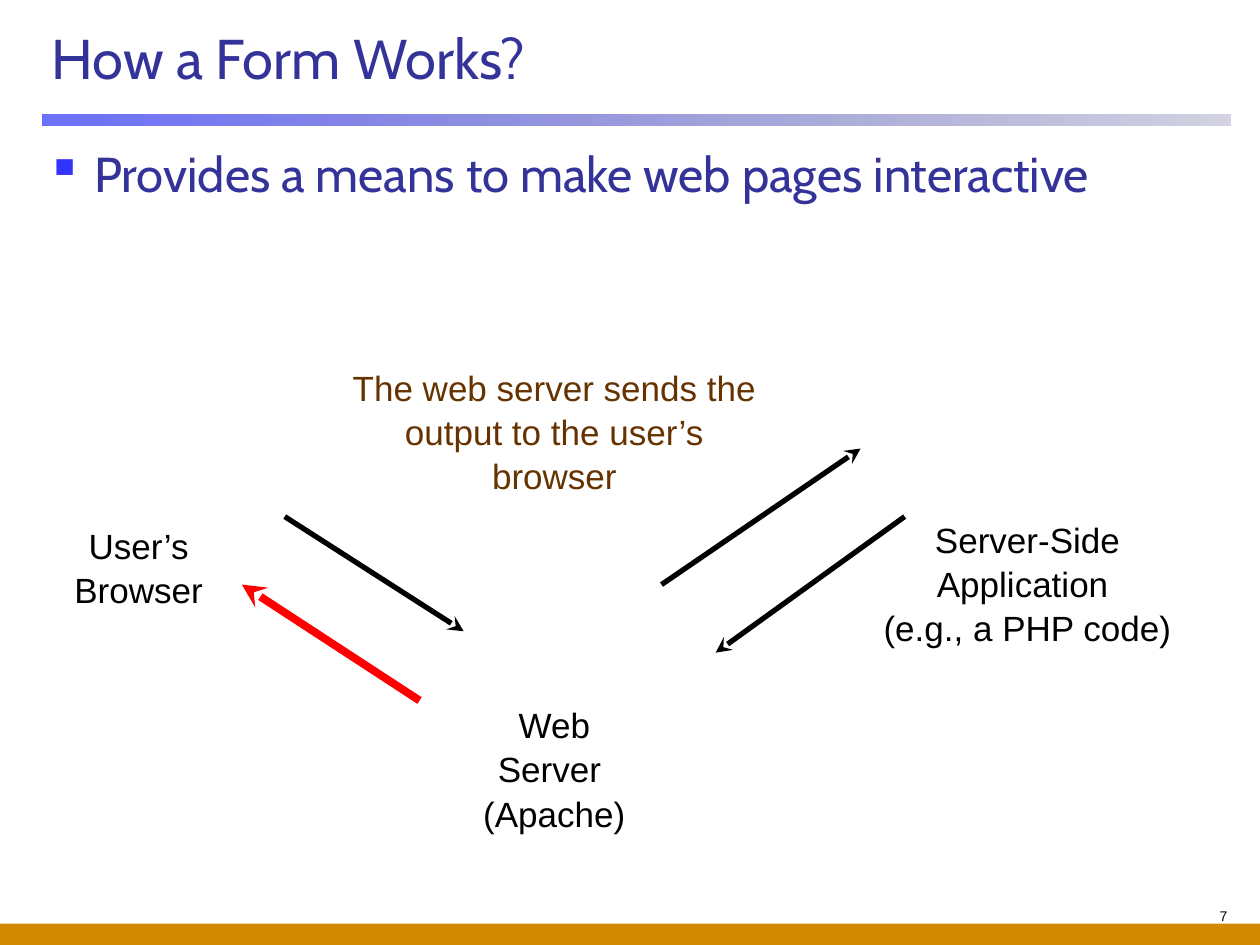
from dataclasses import dataclass

from lxml import etree
from pptx import Presentation
from pptx import util as u
from pptx.dml.color import RGBColor
from pptx.enum import shapes, text
from pptx.oxml.ns import qn

COLUMNS, ROWS = 100, 75


@dataclass(frozen=True)
class Theme:
    heading_font: str = "Cabin"
    label_font: str = "Arial"
    title_size: float = 32
    body_size: float = 28
    label_size: float = 20
    number_size: float = 8
    heading: str = "333399"
    bullet: str = "3333FF"
    ink: str = "000000"
    note: str = "663300"
    highlight: str = "FF0000"
    footer: str = "D18A00"
    rule_stops: tuple = (("464AFC", 79), ("202275", 20))


@dataclass(frozen=True)
class Area:
    column: float
    row: float
    columns: float
    rows: float


@dataclass(frozen=True)
class Label:
    content: str
    area: Area
    color: str


@dataclass(frozen=True)
class Arrow:
    start: tuple[float, float]
    end: tuple[float, float]
    color: str
    width: float


THEME = Theme()
presentation = Presentation()
presentation.slide_width = u.Inches(10)
presentation.slide_height = u.Inches(7.5)
slide = presentation.slides.add_slide(presentation.slide_layouts[6])


def x(column: float) -> int:
    return round(presentation.slide_width * column / COLUMNS)


def y(row: float) -> int:
    return round(presentation.slide_height * row / ROWS)


def bounds(area: Area) -> tuple[int, int, int, int]:
    return x(area.column), y(area.row), x(area.columns), y(area.rows)


def add_text(content: str, area: Area, *, size: float = THEME.label_size,
             font: str = THEME.label_font, color: str = THEME.ink,
             align=text.PP_ALIGN.LEFT, anchor=text.MSO_ANCHOR.TOP,
             spacing: float = 1.0, bullet: str = "") -> None:
    frame = slide.shapes.add_textbox(*bounds(area)).text_frame
    frame.word_wrap = True
    frame.vertical_anchor = anchor
    frame.text = content
    paragraph = frame.paragraphs[0]
    paragraph.alignment = align
    paragraph.line_spacing = spacing
    if bullet:
        properties = paragraph._p.get_or_add_pPr()
        properties.set("marL", str(x(3.8)))
        properties.set("indent", str(-x(3.8)))
        bullet_color = etree.SubElement(properties, qn("a:buClr"))
        etree.SubElement(bullet_color, qn("a:srgbClr"), val=THEME.bullet)
        etree.SubElement(properties, qn("a:buChar"), char=bullet)
    for run in paragraph.runs:
        run.font.name = font
        run.font.size = u.Pt(size)
        run.font.color.rgb = RGBColor.from_string(color)


def add_bar(area: Area):
    shape = slide.shapes.add_shape(shapes.MSO_SHAPE.RECTANGLE, *bounds(area))
    shape.shadow.inherit = False
    shape.line.fill.background()
    return shape


def add_footer() -> None:
    bar = add_bar(Area(0, 73.3, COLUMNS, ROWS - 73.3))
    bar.fill.solid()
    bar.fill.fore_color.rgb = RGBColor.from_string(THEME.footer)


def add_title_rule() -> None:
    bar = add_bar(Area(3.4, 9.1, 94.3, 0.9))
    bar.fill.gradient()
    bar.fill.gradient_angle = 0
    for stop, (color, opacity) in zip(bar.fill.gradient_stops, THEME.rule_stops):
        stop.color.rgb = RGBColor.from_string(color)
    gradient = bar._element.spPr.find(qn("a:gradFill"))
    for element, (color, opacity) in zip(gradient.iter(qn("a:srgbClr")), THEME.rule_stops):
        etree.SubElement(element, qn("a:alpha"), val=str(opacity * 1000))


def add_arrow(arrow: Arrow) -> None:
    connector = slide.shapes.add_connector(
        shapes.MSO_CONNECTOR.STRAIGHT, x(arrow.start[0]), y(arrow.start[1]),
        x(arrow.end[0]), y(arrow.end[1]))
    connector.line.color.rgb = RGBColor.from_string(arrow.color)
    connector.line.width = u.Pt(arrow.width)
    etree.SubElement(connector.line._get_or_add_ln(), qn("a:tailEnd"), type="stealth")
    etree.SubElement(connector._element.spPr, qn("a:effectLst"))


LABELS = (
    Label("User’s Browser", Area(3.1, 41, 15.8, 7.7), THEME.ink),
    Label("Web Server \v(Apache)", Area(36.1, 55.2, 15.8, 16.2), THEME.ink),
    Label("Server-Side Application \v(e.g., a PHP code)",
          Area(68, 40.5, 27.1, 11.1), THEME.ink),
    Label("The web server sends the output to the user’s browser",
          Area(26.6, 28.4, 34.8, 7.1), THEME.note),
)
ARROWS = (
    Arrow((22.6, 41), (36.8, 50.1), THEME.ink, 3),
    Arrow((52.5, 46.4), (68.3, 35.6), THEME.ink, 3),
    Arrow((71.8, 41), (56.8, 51.8), THEME.ink, 3),
    Arrow((33.3, 55.6), (19.2, 46.4), THEME.highlight, 4.5),
)


def main() -> None:
    add_footer()
    add_title_rule()
    add_text("How a Form Works?", Area(3.1, 1, 96.9, 7.1), size=THEME.title_size,
             font=THEME.heading_font, color=THEME.heading,
             anchor=text.MSO_ANCHOR.MIDDLE)
    add_text("Provides a means to make web pages interactive",
             Area(2.7, 10.9, 94.5, 61.3), size=THEME.body_size,
             font=THEME.heading_font, color=THEME.heading, bullet="▪")
    for label in LABELS:
        add_text(label.content, label.area, color=label.color,
                 align=text.PP_ALIGN.CENTER, spacing=1.05)
    for arrow in ARROWS:
        add_arrow(arrow)
    add_text("7", Area(84.2, 71.5, 14.2, 3.3), size=THEME.number_size,
             align=text.PP_ALIGN.RIGHT)
    presentation.save("out.pptx")


if __name__ == "__main__":
    main()
